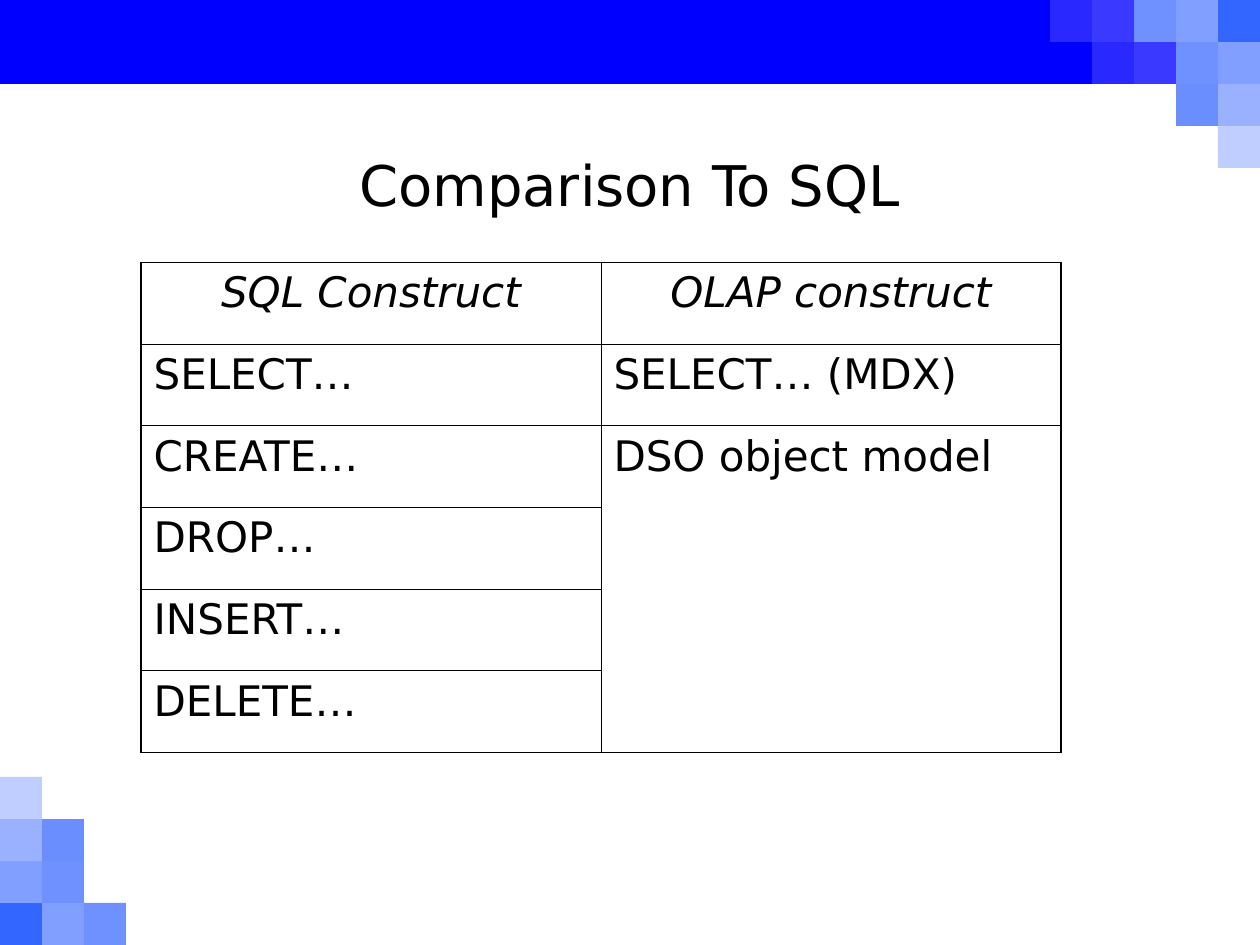
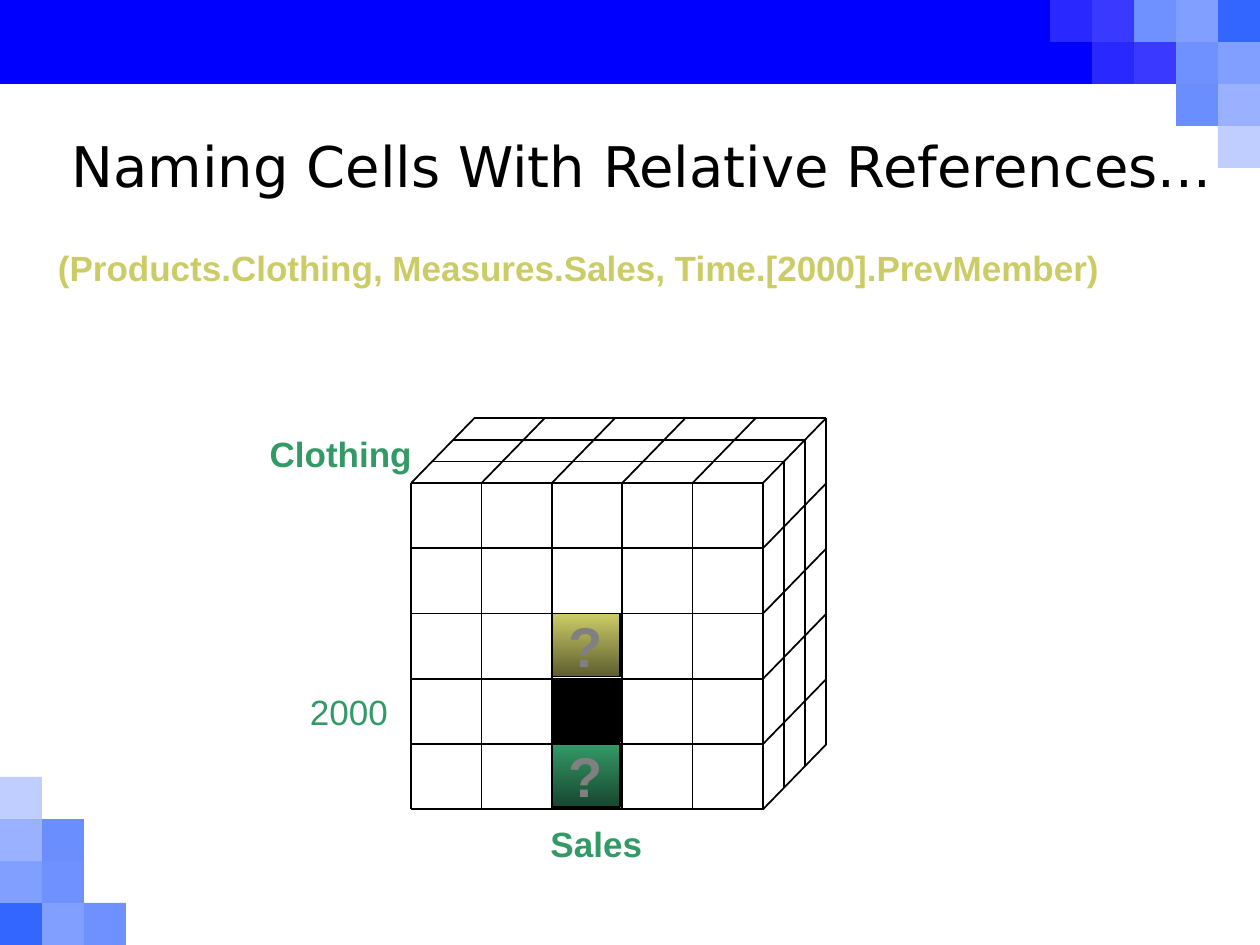
from dataclasses import dataclass
from lxml.etree import SubElement
from pptx import Presentation
from pptx.dml.color import RGBColor
from pptx.enum.shapes import MSO_CONNECTOR, MSO_SHAPE
from pptx.enum.text import MSO_ANCHOR, PP_ALIGN
from pptx.oxml.ns import qn
from pptx.util import Pt


@dataclass(frozen=True)
class Theme:
    width: float = 720
    height: float = 540
    title_font: str = "DejaVu Sans"
    label_font: str = "Arial"
    title_size: float = 32
    table_size: float = 24
    label_size: float = 20
    ink: str = "000000"
    paper: str = "FFFFFF"
    band: str = "0000FF"
    green: str = "339966"
    dark_green: str = "18472F"
    olive: str = "CCCC66"
    dark_olive: str = "5E5E2F"
    question: str = "808080"
    hairline: float = 0.45
    frame: float = 1.08
    # Corner squares, row by row, counted away from the corner
    mosaic: tuple = (
        ("3366FF", "819FFF", "6F91FF"),
        ("819FFF", "6F91FF"),
        ("99B1FF", "6B8EFF"),
        ("BFCEFF",),
    )
    # Squares that continue the first two rows on top of the band
    band_squares: tuple = ("3939FF", "2929FF")
    square: float = 24


THEME = Theme()


def rgb(code):
    return RGBColor.from_string(code)


def write(frame, text, size, color, font=THEME.label_font, bold=False,
          italic=False, align=PP_ALIGN.LEFT, wrap=True):
    frame.word_wrap = wrap
    paragraph = frame.paragraphs[0]
    paragraph.text = text
    paragraph.alignment = align
    style = paragraph.font
    style.name, style.size = font, Pt(size)
    style.bold, style.italic = bold, italic
    style.color.rgb = rgb(color)


def add_text(slide, box, text, size, color, **style):
    label = slide.shapes.add_textbox(*map(Pt, box))
    write(label.text_frame, text, size, color, **style)
    return label


def add_rect(slide, box, color, outline=None):
    rect = slide.shapes.add_shape(MSO_SHAPE.RECTANGLE, *map(Pt, box))
    rect.shadow.inherit = False
    rect.fill.solid()
    rect.fill.fore_color.rgb = rgb(color)
    if outline:
        rect.line.color.rgb = rgb(outline)
        rect.line.width = Pt(1)
    else:
        rect.line.fill.background()
    return rect


def add_line(slide, start, end):
    line = slide.shapes.add_connector(MSO_CONNECTOR.STRAIGHT, *map(Pt, (*start, *end)))
    line.line.color.rgb = rgb(THEME.ink)
    line.line.width = Pt(1)
    SubElement(line._element.spPr, qn("a:effectLst"))


def add_mosaic(slide, corner, direction, rows):
    """Squares stepping away from a slide corner in the given direction."""
    side = THEME.square
    (x, y), (dx, dy) = corner, direction
    for row, colors in enumerate(rows):
        for col, color in enumerate(colors):
            left = x + dx * col * side - (side if dx < 0 else 0)
            top = y + dy * row * side - (side if dy < 0 else 0)
            add_rect(slide, (left, top, side, side), color)


def add_base_slide(deck, title, title_box):
    slide = deck.slides.add_slide(deck.slide_layouts[6])
    # Top band and corner mosaics
    add_rect(slide, (0, 0, THEME.width, 48), THEME.band)
    top_rows = [row + (THEME.band_squares if index < 2 else ())
                for index, row in enumerate(THEME.mosaic)]
    add_mosaic(slide, (THEME.width, 0), (-1, 1), top_rows)
    add_mosaic(slide, (0, THEME.height), (1, -1), THEME.mosaic)
    # Title
    heading = add_text(slide, title_box, title, THEME.title_size, THEME.ink,
                       font=THEME.title_font, align=PP_ALIGN.CENTER)
    heading.text_frame.vertical_anchor = MSO_ANCHOR.MIDDLE
    return slide


def set_borders(cell, widths):
    """Border widths in the order left, right, top, bottom."""
    properties = cell._tc.get_or_add_tcPr()
    for side, width in zip("LRTB", widths):
        border = SubElement(properties, qn(f"a:ln{side}"), w=str(Pt(width)))
        fill = SubElement(border, qn("a:solidFill"))
        SubElement(fill, qn("a:srgbClr"), val=THEME.ink)


def add_comparison(slide, box, rows):
    last_row, last_col = len(rows) - 1, len(rows[0]) - 1
    table = slide.shapes.add_table(len(rows), len(rows[0]), *map(Pt, box)).table
    table.first_row = table.horz_banding = False
    for column in table.columns:
        column.width = Pt(box[2] / len(rows[0]))
    for row in table.rows:
        row.height = Pt(box[3] / len(rows))
    for r, texts in enumerate(rows):
        for c, text in enumerate(texts):
            cell = table.cell(r, c)
            outer = (c == 0, c == last_col, r == 0, r == last_row)
            set_borders(cell, [THEME.frame if edge else THEME.hairline for edge in outer])
            cell.fill.solid()
            cell.fill.fore_color.rgb = rgb(THEME.paper)
            if text:
                header = r == 0
                write(cell.text_frame, text, THEME.table_size, THEME.ink,
                      font=THEME.title_font, italic=header,
                      align=PP_ALIGN.CENTER if header else PP_ALIGN.LEFT)
    # The object model answers all four data definition rows
    table.cell(2, 1).merge(table.cell(last_row, 1))


def add_cube(slide, box, count=5, layers=3):
    """Front face fills the box; the top and side faces recede from it."""
    left, top, width, height = box
    right, bottom = left + width, top + height
    cell_w, cell_h = width / count, height / count
    depth_x, depth_y = 36, -37

    # Top and side faces: layers parallel to the front
    for layer in range(1, layers + 1):
        dx, dy = depth_x * layer / layers, depth_y * layer / layers
        add_line(slide, (left + dx, top + dy), (right + dx, top + dy))
        add_line(slide, (right + dx, top + dy), (right + dx, bottom + dy))
    # Front grid and the edges running back from it
    for step in range(count + 1):
        x, y = left + step * cell_w, top + step * cell_h
        add_line(slide, (x, top), (x, bottom))
        add_line(slide, (left, y), (right, y))
        add_line(slide, (x, top), (x + depth_x, top + depth_y))
        if step:
            add_line(slide, (right, y), (right + depth_x, y + depth_y))

    # Highlighted cells in the Sales column
    highlights = (
        (3, THEME.ink, None),
        (2, THEME.olive, THEME.dark_olive),
        (4, THEME.green, THEME.dark_green),
    )
    for row, color, shade in highlights:
        spot = (left + 2 * cell_w, top + row * cell_h, 39, 36)
        member = add_rect(slide, spot, color, outline=THEME.ink)
        if shade:
            member.fill.gradient()
            member.fill.gradient_angle = 270
            for stop, tone in zip(member.fill.gradient_stops, (color, shade)):
                stop.color.rgb = rgb(tone)
            write(member.text_frame, "?", THEME.title_size, THEME.question,
                  bold=True, align=PP_ALIGN.CENTER, wrap=False)
            member.text_frame.vertical_anchor = MSO_ANCHOR.MIDDLE

    # Dimension labels, placed from the front face's top left corner
    labels = (
        ("2000", -65, 115, 59, False),
        ("Clothing", -88, -32.5, 96, True),
        ("Sales", 72.5, 190.5, 67, True),
    )
    for text, dx, dy, label_w, bold in labels:
        add_text(slide, (left + dx, top + dy, label_w, 32), text,
                 THEME.label_size, THEME.green, bold=bold, wrap=False)


def build_comparison_slide(deck):
    slide = add_base_slide(deck, "Comparison To SQL", (54, 66, 612, 78))
    add_comparison(slide, (80.6, 150, 525.6, 280), (
        ("SQL Construct", "OLAP construct"),
        ("SELECT…", "SELECT… (MDX)"),
        ("CREATE…", "DSO object model"),
        ("DROP…", ""),
        ("INSERT…", ""),
        ("DELETE…", ""),
    ))


def build_cube_slide(deck):
    slide = add_base_slide(deck, "Naming Cells With Relative References...",
                           (14, 72, 706, 45))
    add_cube(slide, (235, 276, 201, 186.5))
    # Tuple expression
    add_text(slide, (26, 137.5, 649, 32),
             "(Products.Clothing, Measures.Sales, Time.[2000].PrevMember)",
             THEME.label_size, THEME.olive, bold=True)


def main():
    deck = Presentation()
    deck.slide_width, deck.slide_height = Pt(THEME.width), Pt(THEME.height)
    build_comparison_slide(deck)
    build_cube_slide(deck)
    deck.save("out.pptx")


if __name__ == "__main__":
    main()
